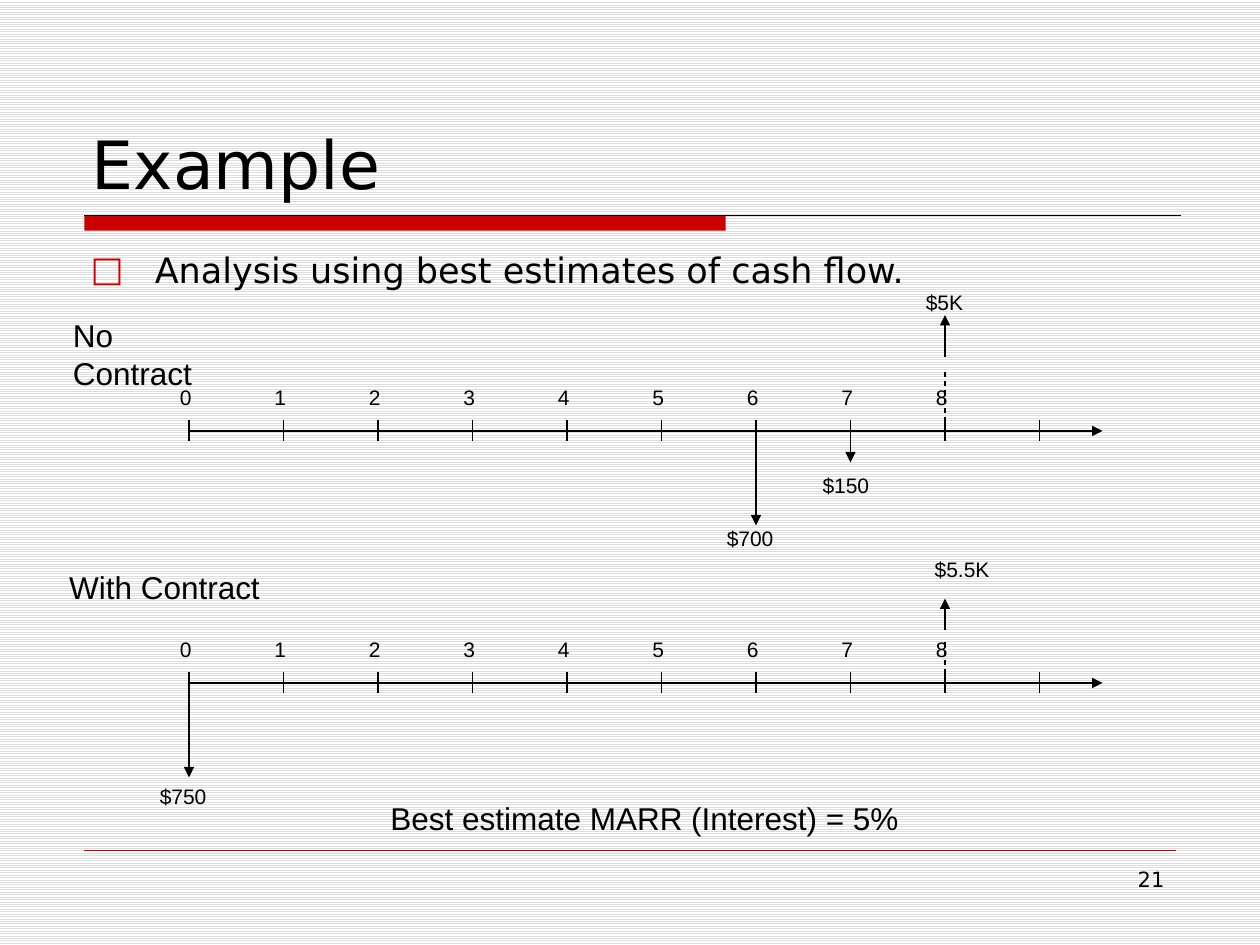
from lxml import etree
from pptx import Presentation, util as u
from pptx.dml.color import RGBColor
from pptx.enum import dml, shapes, text
from pptx.oxml.ns import qn

BLACK, RED = "000000", "CC0000"
SANS, ARIAL = "DejaVu Sans", "Arial"

# Timeline geometry
START, STEP, AXIS_END = 1.5, 0.75, 8.75
TICKS, LABELS = 10, 9

# Each flow: period, start and end offset from the axis, dashed
# Each amount: text, left, top offset from the axis, width
TIMELINES = [
    {"name": "No Contract", "name_box": (0.48, 2.46, 1.53, 0.4), "axis": 3.42,
     "flows": [(6, 0, 0.75, False), (7, 0, 0.25, False),
               (8, 0, -0.5, True), (8, -0.59, -0.92, False)],
     "amounts": [("$700", 5.67, 0.7, 0.57), ("$150", 6.43, 0.28, 0.57),
                 ("$5K", 7.25, -1.17, 0.5)]},
    {"name": "With Contract", "name_box": (0.45, 4.46, 1.72, 0.4), "axis": 5.42,
     "flows": [(0, 0, 0.75, False),
               (8, 0, -0.34, True), (8, -0.42, -0.67, False)],
     "amounts": [("$750", 1.17, 0.75, 0.57), ("$5.5K", 7.32, -1.05, 0.64)]},
]


def color(value):
    return RGBColor.from_string(value)


def add_text(page, content, at, size=12, font=ARIAL, wrap=False,
             anchor=text.MSO_ANCHOR.TOP, align=text.PP_ALIGN.LEFT):
    box = page.shapes.add_textbox(*map(u.Inches, at))
    frame = box.text_frame
    frame.word_wrap = wrap
    if not wrap:
        frame.auto_size = text.MSO_AUTO_SIZE.SHAPE_TO_FIT_TEXT
    frame.vertical_anchor = anchor
    para = frame.paragraphs[0]
    para.alignment = align
    span = para.add_run()
    span.text = content
    span.font.size = u.Pt(size)
    span.font.name = font
    span.font.color.rgb = color(BLACK)
    return para


def add_line(page, x1, y1, x2, y2, stroke=BLACK, width=0.75, arrow=False, dashed=False):
    line = page.shapes.add_connector(
        shapes.MSO_CONNECTOR.STRAIGHT, *map(u.Inches, (x1, y1, x2, y2)))
    line.line.color.rgb = color(stroke)
    line.line.width = u.Pt(width)
    if dashed:
        line.line.dash_style = dml.MSO_LINE.DASH
    if arrow:
        etree.SubElement(line.line._get_or_add_ln(), qn("a:tailEnd"), type="triangle")
    etree.SubElement(line._element.spPr, qn("a:effectLst"))


def add_bullet(para, symbol, fill, indent):
    props = para._p.get_or_add_pPr()
    props.set("marL", str(u.Inches(indent)))
    props.set("indent", str(-u.Inches(indent)))
    tint = etree.SubElement(props, qn("a:buClr"))
    etree.SubElement(tint, qn("a:srgbClr"), val=fill)
    etree.SubElement(props, qn("a:buFont"), typeface=SANS)
    etree.SubElement(props, qn("a:buChar"), char=symbol)


def add_timeline(page, name, name_box, axis, flows, amounts):
    add_text(page, name, name_box, size=18)
    add_line(page, START, axis, AXIS_END, axis, arrow=True)
    for period in range(TICKS):
        x = START + period * STEP
        add_line(page, x, axis - 0.09, x, axis + 0.08)
        if period < LABELS:
            add_text(page, str(period), (x - 0.17, axis - 0.42, 0.29, 0.3))
    for period, begin, end, dashed in flows:
        x = START + period * STEP
        add_line(page, x, axis + begin, x, axis + end, arrow=not dashed, dashed=dashed)
    for amount, left, offset, width in amounts:
        add_text(page, amount, (left, axis + offset, width, 0.3))


def main():
    deck = Presentation()
    deck.slide_width, deck.slide_height = u.Inches(10), u.Inches(7.5)
    page = deck.slides.add_slide(deck.slide_layouts[6])

    # Ruled background
    paper = page.background.fill
    paper.patterned()
    paper.pattern = dml.MSO_PATTERN.LIGHT_HORIZONTAL
    paper.fore_color.rgb = color("DDDDDD")
    paper.back_color.rgb = color("FFFFFF")

    # Title bar and footer rule
    bar = page.shapes.add_shape(
        shapes.MSO_SHAPE.RECTANGLE, *map(u.Inches, (0.67, 1.71, 5.09, 0.12)))
    bar.shadow.inherit = False
    bar.fill.solid()
    bar.fill.fore_color.rgb = color(RED)
    bar.line.fill.background()
    add_line(page, 0.67, 1.71, 9.37, 1.71)
    add_line(page, 0.67, 6.75, 9.33, 6.75, stroke=RED, width=0.25)

    # Title and bullet
    add_text(page, "Example", (0.63, 0.33, 8.75, 1.33), size=38, font=SANS,
             wrap=True, anchor=text.MSO_ANCHOR.BOTTOM)
    point = add_text(page, "Analysis using best estimates of cash flow.",
                     (0.62, 1.92, 8.75, 4.67), size=20, font=SANS, wrap=True)
    point.space_before = u.Pt(4)
    add_bullet(point, "□", RED, 0.51)

    # Cash flow timelines
    for timeline in TIMELINES:
        add_timeline(page, **timeline)

    # Closing note and page number
    add_text(page, "Best estimate MARR (Interest) = 5%", (3, 6.29, 4.24, 0.4), size=18)
    add_text(page, "21", (7.17, 6.83, 2.17, 0.52), font=SANS, wrap=True,
             align=text.PP_ALIGN.RIGHT)

    deck.save("out.pptx")


if __name__ == "__main__":
    main()
